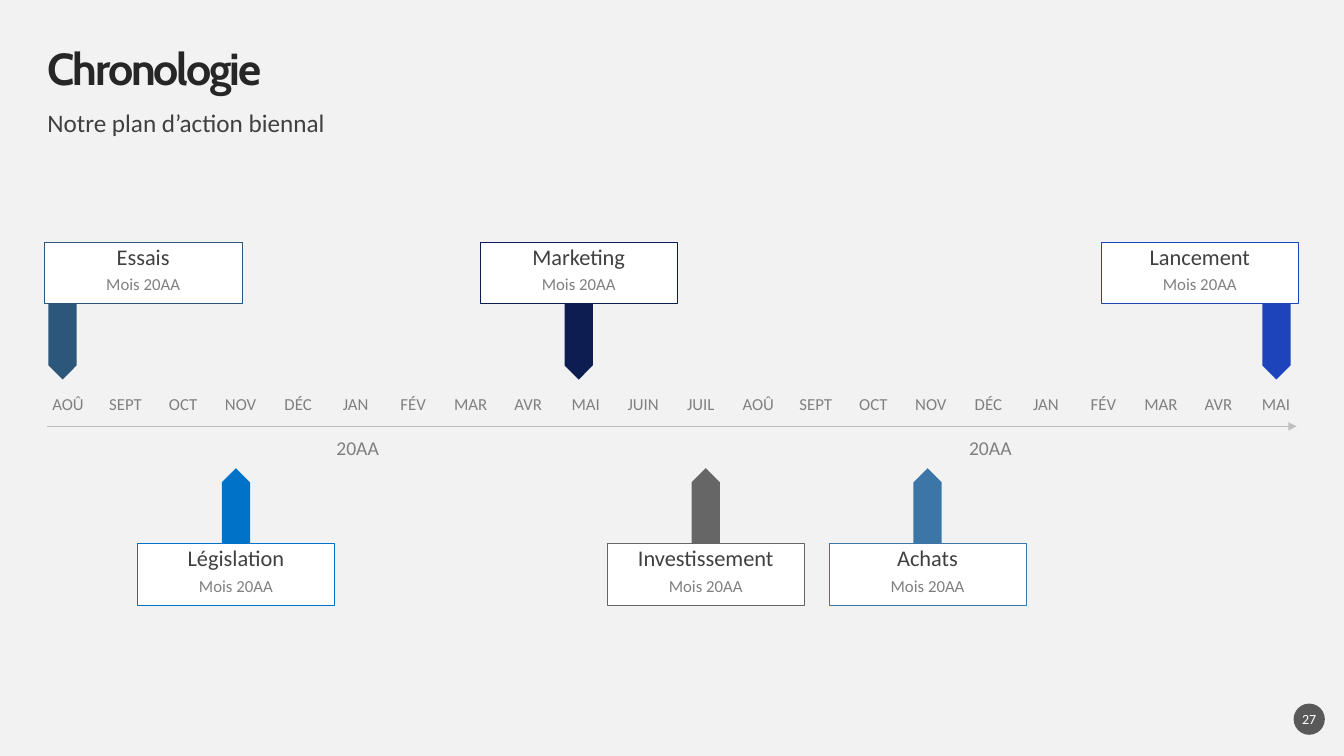
"""Build the two-year timeline slide with months, milestones and markers."""
from lxml.etree import SubElement
from pptx import Presentation
from pptx.dml.color import RGBColor
from pptx.enum.shapes import MSO_CONNECTOR as Link, MSO_SHAPE as Shape
from pptx.enum.text import MSO_ANCHOR as Anchor, PP_ALIGN as Align
from pptx.oxml.ns import qn
from pptx.util import Inches, Pt

COLORS = {
    "background": "F2F2F2", "white": "FFFFFF", "axis": "BFBFBF",
    "title": "262626", "label": "404040", "muted": "808080", "badge": "595959",
    "steel": "2C567A", "azure": "0072C7", "navy": "0D1D51",
    "grey": "666666", "sky": "3C76A6", "royal": "1E44BC",
}
MARGIN, CONTENT_W = 0.47, 12.39
RIGHT = MARGIN + CONTENT_W
MONTH_W, MONTH_H = 0.41, 0.22
CARD_W, CARD_H = 1.96, 0.61
DATE_W, DATE_H = 1.85, 0.25
MARKER_L, MARKER_H = 0.75, 0.28

prs = Presentation()
prs.slide_width, prs.slide_height = Inches(13.33), Inches(7.5)
slide = prs.slides.add_slide(prs.slide_layouts[6])
slide.background.fill.solid()
slide.background.fill.fore_color.rgb = RGBColor.from_string(COLORS["background"])


def add_part(kind, left, top, width, height, fill=None, outline=None):
    box = [Inches(value) for value in (left, top, width, height)]
    if kind is None:
        return slide.shapes.add_textbox(*box)
    part = slide.shapes.add_shape(kind, *box)
    part.shadow.inherit = False
    part.fill.solid()
    part.fill.fore_color.rgb = RGBColor.from_string(COLORS[fill])
    if outline:
        part.line.color.rgb = RGBColor.from_string(COLORS[outline])
        part.line.width = Pt(0.25)
    else:
        part.line.fill.background()
    return part


def write(part, text, size, color, align=Align.CENTER, anchor=Anchor.TOP,
          font="Calibri", inset_top=0, spacing=0.9):
    frame = part.text_frame
    frame.word_wrap = True
    frame.vertical_anchor = anchor
    frame.margin_left = frame.margin_right = frame.margin_bottom = 0
    frame.margin_top = Inches(inset_top)
    paragraph = frame.paragraphs[0]
    paragraph.alignment = align
    paragraph.line_spacing = spacing
    run = paragraph.add_run()
    run.text = text
    run.font.name, run.font.size = font, Pt(size)
    run.font.color.rgb = RGBColor.from_string(COLORS[color])
    return run


axis = slide.shapes.add_connector(
    Link.STRAIGHT, Inches(MARGIN), Inches(4.23), Inches(RIGHT), Inches(4.23))
axis.line.color.rgb = RGBColor.from_string(COLORS["axis"])
axis.line.width = Pt(0.5)
SubElement(axis.line._get_or_add_ln(), qn("a:tailEnd"), type="triangle")
SubElement(axis._element.spPr, qn("a:effectLst"))

heading = write(add_part(None, MARGIN, 0.47, CONTENT_W, 0.47), "Chronologie",
                32, "title", Align.LEFT, Anchor.MIDDLE, "Cabin")
heading.font.bold = True
heading._r.get_or_add_rPr().set("spc", "-150")
write(add_part(None, MARGIN, 1.1, CONTENT_W, 0.28), "Notre plan d’action biennal",
      18, "label", Align.LEFT)

months = ("AOÛ SEPT OCT NOV DÉC JAN FÉV MAR AVR MAI JUIN JUIL "
          "AOÛ SEPT OCT NOV DÉC JAN FÉV MAR AVR MAI").split()
pitch = (CONTENT_W - MONTH_W) / (len(months) - 1)
for index, month in enumerate(months):
    write(add_part(None, MARGIN + index * pitch, 3.93, MONTH_W, MONTH_H),
          month, 12, "muted")

for year_column in (5, 16):
    write(add_part(None, MARGIN + year_column * pitch, 4.35, 0.45, MONTH_H),
          "20AA", 14, "muted", anchor=Anchor.MIDDLE)

milestones = [
    ("Essais", "steel", 0.44, 0.62, True),
    ("Législation", "azure", 1.36, 2.34, False),
    ("Marketing", "navy", 4.76, 5.74, True),
    ("Investissement", "grey", 6.02, 7.0, False),
    ("Achats", "sky", 8.22, 9.2, False),
    ("Lancement", "royal", 10.92, 12.66, True),
]
for name, color, card_left, marker_center, above in milestones:
    card_top, marker_top, turn = (2.4, 3.25, 90) if above else (5.39, 4.88, 270)
    marker = add_part(Shape.PENTAGON, marker_center - MARKER_L / 2, marker_top,
                      MARKER_L, MARKER_H, color)
    marker.rotation = turn
    card = add_part(Shape.RECTANGLE, card_left, card_top, CARD_W, CARD_H, "white", color)
    write(card, name, 16, "label", inset_top=0.04)
    date = add_part(None, card_left + (CARD_W - DATE_W) / 2, card_top + 0.34,
                    DATE_W, DATE_H)
    write(date, "Mois 20AA", 12, "muted")

badge = add_part(Shape.OVAL, 12.83, 6.98, 0.31, 0.31, "badge")
write(badge, "27", 10, "white", anchor=Anchor.MIDDLE, spacing=1.0)

prs.save("out.pptx")
